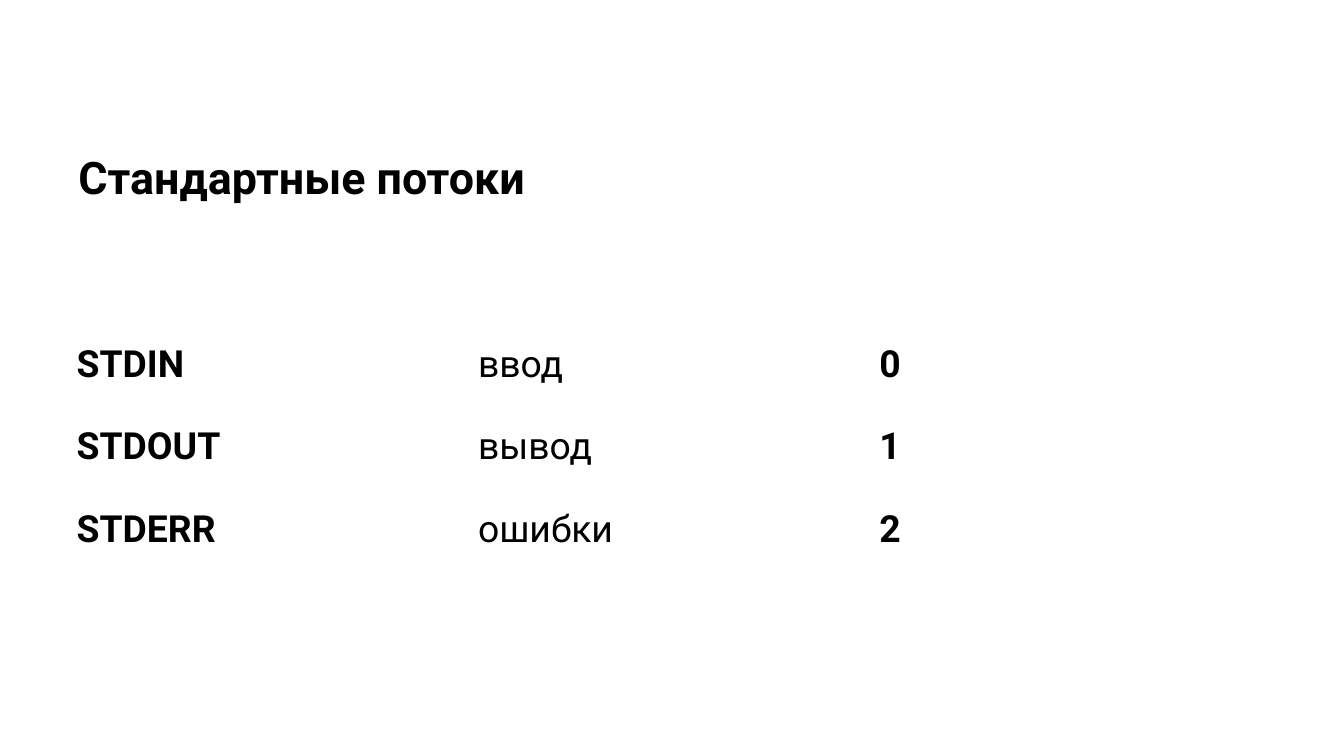
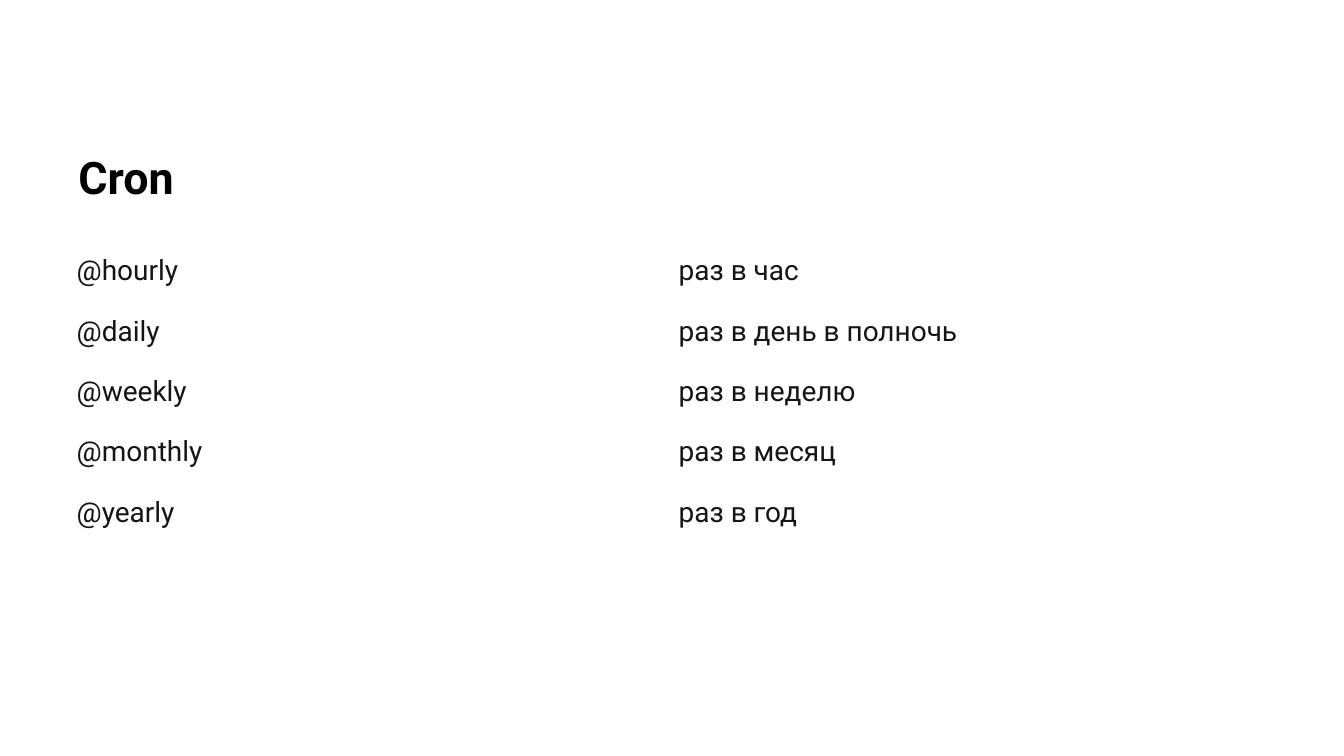
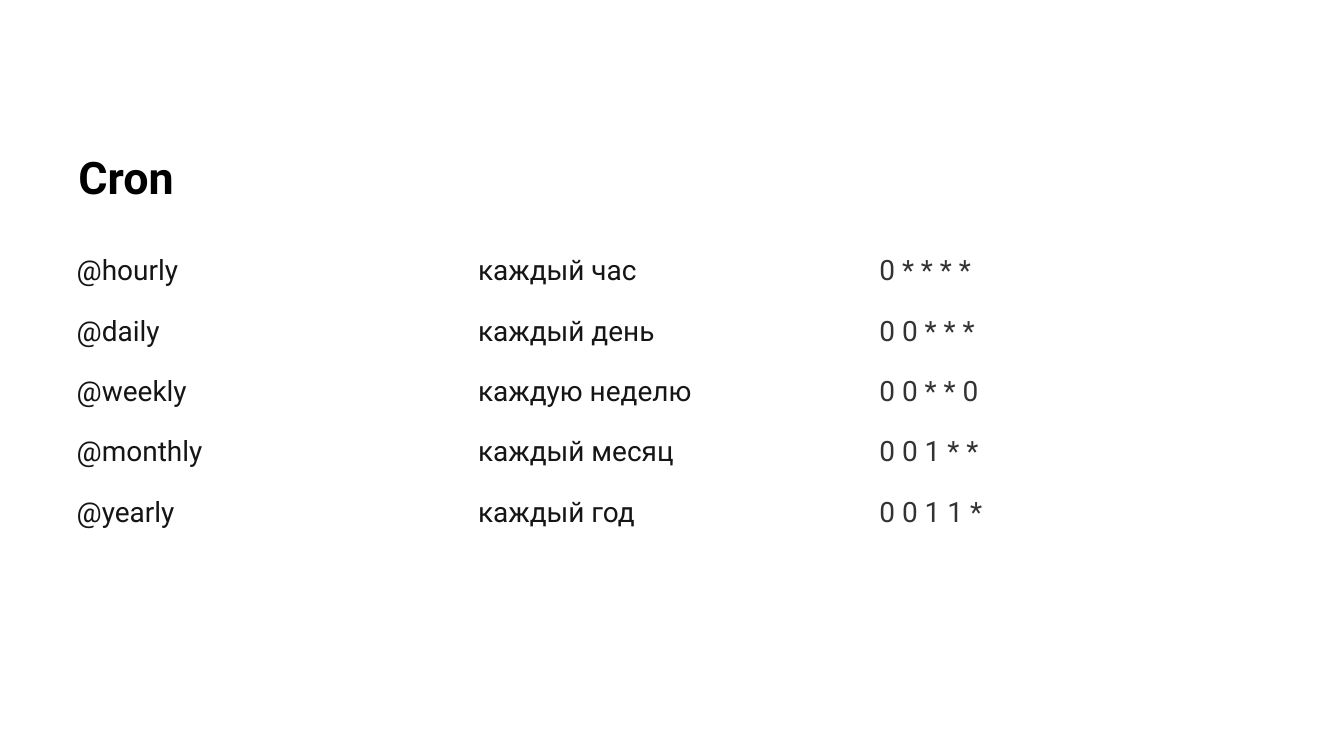
from pptx import Presentation
from pptx.dml.color import RGBColor
from pptx.enum import text
from pptx.util import Pt

COLORS = {"black": "000000", "ink": "151515", "gray": "333333"}
FONT = "Roboto"
TABLE_LEFT = 75
TABLE_WIDTH = 1290
CELL_INSET = 7.2
TITLE_ONLY_LAYOUT = 5

STREAMS = [
    ("STDIN", "ввод", "0"),
    ("STDOUT", "вывод", "1"),
    ("STDERR", "ошибки", "2"),
]
FREQUENCIES = [
    ("@hourly", "раз в час"),
    ("@daily", "раз в день в полночь"),
    ("@weekly", "раз в неделю"),
    ("@monthly", "раз в месяц"),
    ("@yearly", "раз в год"),
]
SCHEDULES = [
    ("@hourly", "каждый час", "0 * * * *"),
    ("@daily", "каждый день", "0 0 * * *"),
    ("@weekly", "каждую неделю", "0 0 * * 0"),
    ("@monthly", "каждый месяц", "0 0 1 * *"),
    ("@yearly", "каждый год", "0 0 1 1 *"),
]


def format_runs(paragraph, size, color, bold=False):
    for run in paragraph.runs:
        run.font.name = FONT
        run.font.size = Pt(size)
        run.font.bold = bold
        run.font.color.rgb = RGBColor.from_string(COLORS[color])


def set_margins(target, inset):
    target.margin_left = target.margin_right = Pt(inset)
    target.margin_top = target.margin_bottom = Pt(inset)


def add_titled_slide(presentation, title):
    slide = presentation.slides.add_slide(presentation.slide_layouts[TITLE_ONLY_LAYOUT])
    shape = slide.shapes.title
    shape.left, shape.top = Pt(84), Pt(160.5)
    shape.width, shape.height = Pt(1256), Pt(116)
    frame = shape.text_frame
    frame.text = title
    frame.word_wrap = True
    frame.auto_size = text.MSO_AUTO_SIZE.NONE
    frame.vertical_anchor = text.MSO_ANCHOR.TOP
    set_margins(frame, 0)
    paragraph = frame.paragraphs[0]
    paragraph.alignment = text.PP_ALIGN.LEFT
    format_runs(paragraph, 48, "black", bold=True)
    return slide


def add_plain_table(slide, rows, top, row_height, size, column_styles, line_spacing=1.0):
    column_count = len(column_styles)
    table = slide.shapes.add_table(
        len(rows), column_count, Pt(TABLE_LEFT), Pt(top),
        Pt(TABLE_WIDTH), Pt(row_height * len(rows)),
    ).table
    table.first_row = table.horz_banding = False
    for column in table.columns:
        column.width = Pt(TABLE_WIDTH / column_count)
    for row, values in zip(table.rows, rows):
        row.height = Pt(row_height)
        for cell, value, (color, bold) in zip(row.cells, values, column_styles):
            cell.fill.background()
            set_margins(cell, CELL_INSET)
            cell.text_frame.text = value
            paragraph = cell.text_frame.paragraphs[0]
            paragraph.line_spacing = line_spacing
            format_runs(paragraph, size, color, bold)


def add_cron_slide(presentation, rows, colors):
    slide = add_titled_slide(presentation, "Сron")
    column_styles = [(color, False) for color in colors]
    add_plain_table(slide, rows, 250.6, 30, 30, column_styles, line_spacing=1.43)


def main():
    presentation = Presentation()
    presentation.slide_width, presentation.slide_height = Pt(1440), Pt(810)

    slide = add_titled_slide(presentation, "Стандартные потоки")
    stream_styles = [("black", True), ("black", False), ("black", True)]
    add_plain_table(slide, STREAMS, 360, 88.5, 40, stream_styles)

    add_cron_slide(presentation, FREQUENCIES, ["ink", "ink"])
    add_cron_slide(presentation, SCHEDULES, ["ink", "ink", "gray"])

    presentation.save("out.pptx")


if __name__ == "__main__":
    main()
